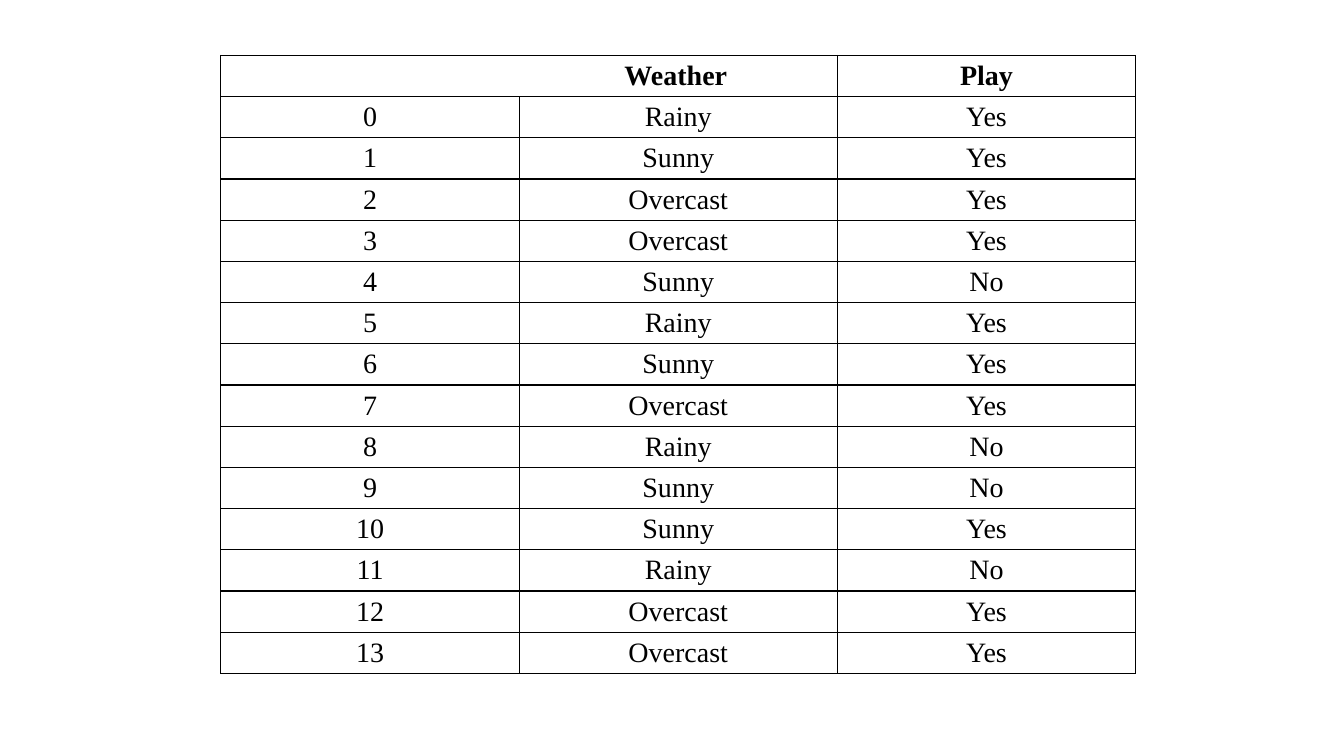
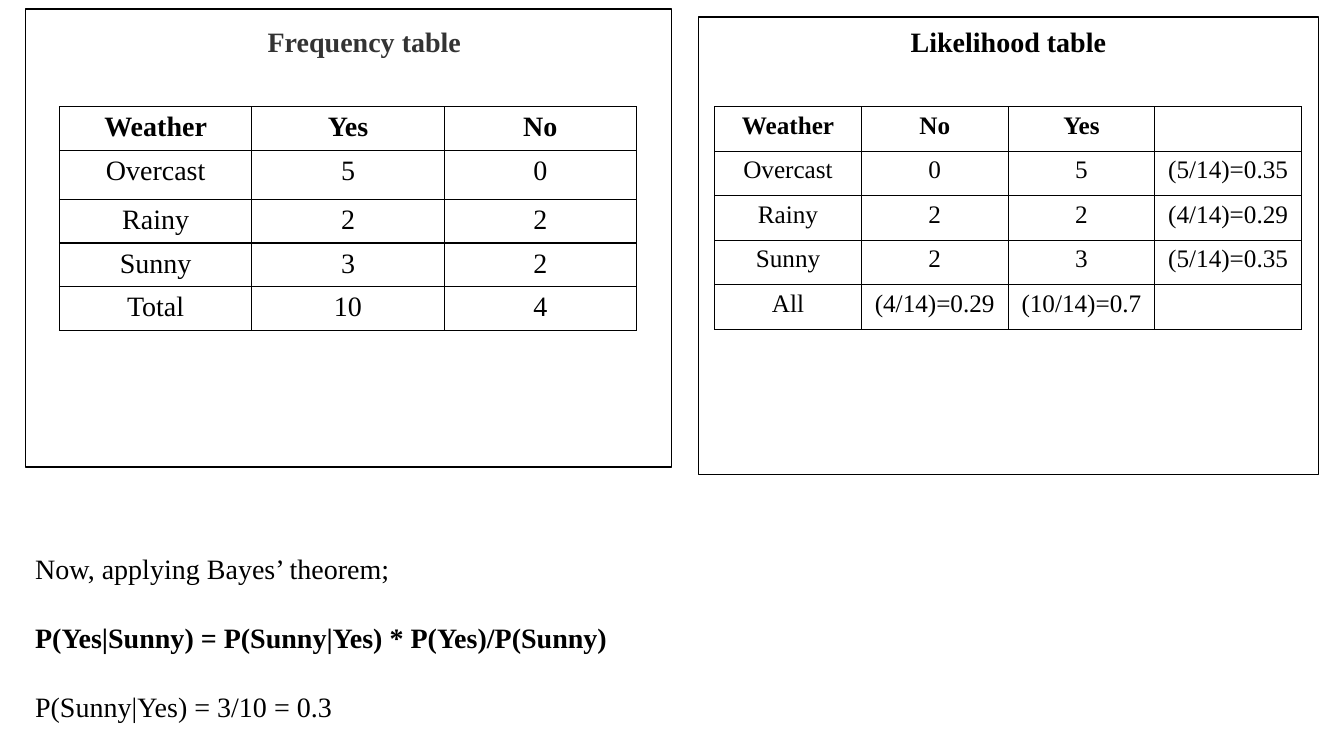
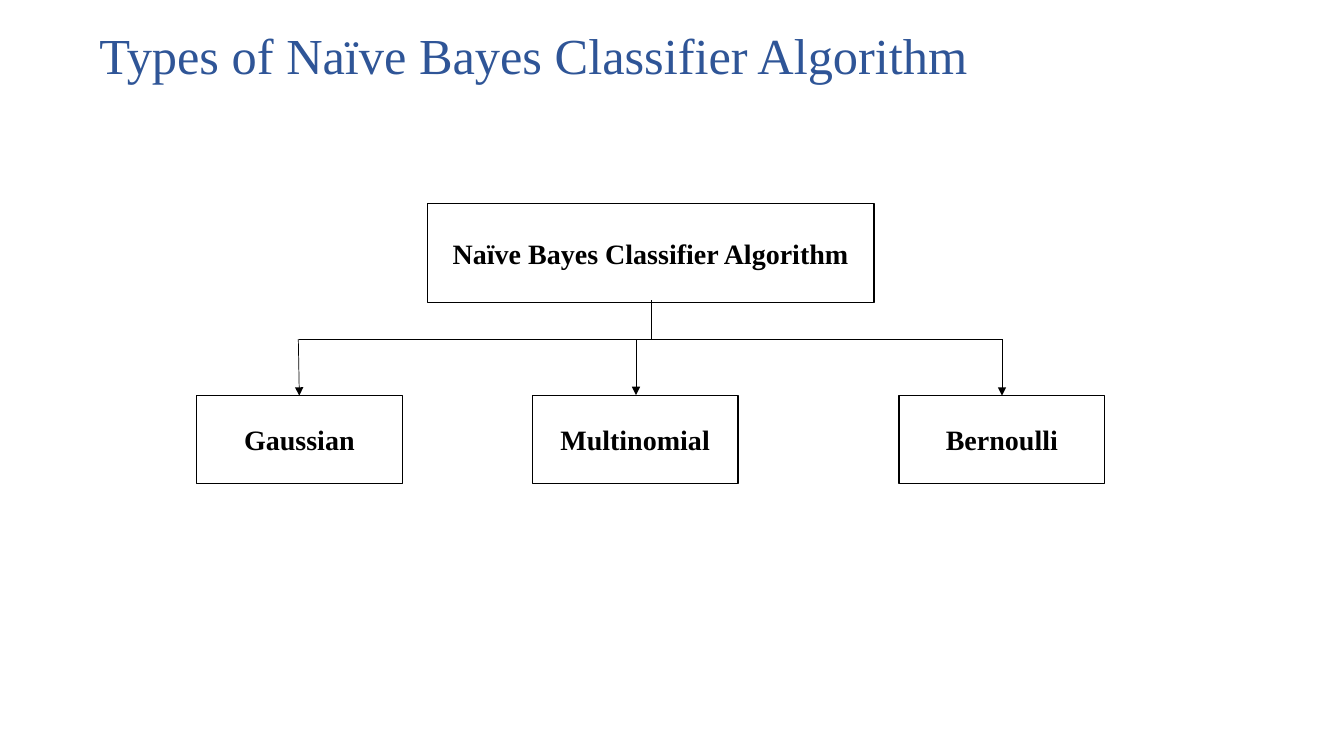
from dataclasses import dataclass

from lxml import etree
from pptx import Presentation
from pptx.dml.color import RGBColor
from pptx.enum import shapes, text
from pptx.oxml import ns
from pptx.util import Pt


@dataclass(frozen=True)
class Theme:
    font: str = "Times New Roman"
    ink: RGBColor = RGBColor(0, 0, 0)
    paper: RGBColor = RGBColor(255, 255, 255)
    gray: RGBColor = RGBColor(0x33, 0x33, 0x33)
    blue: RGBColor = RGBColor(0x2F, 0x55, 0x97)
    title: int = 36
    body: int = 20
    small: int = 18
    border: float = 1
    branch: float = 0.5


theme = Theme()
LEFT, CENTER, JUSTIFY = text.PP_ALIGN.LEFT, text.PP_ALIGN.CENTER, text.PP_ALIGN.JUSTIFY


def write(para, words, size=theme.body, bold=False, color=theme.ink, align=CENTER):
    para.alignment = align
    span = para.add_run()
    span.text = words
    span.font.name = theme.font
    span.font.size = Pt(size)
    span.font.bold = bold
    span.font.color.rgb = color


def add_grid(page, left, top, column_width, heights, rows, size=theme.body):
    columns = len(rows[0])
    frame = page.shapes.add_table(
        len(rows), columns, Pt(left), Pt(top), Pt(column_width * columns), Pt(sum(heights))
    )
    table = frame.table
    table.first_row = table.horz_banding = False
    for column in table.columns:
        column.width = Pt(column_width)
    for r, (height, row) in enumerate(zip(heights, rows)):
        table.rows[r].height = Pt(height)
        for c, words in enumerate(row):
            cell = table.cell(r, c)
            cell.fill.background()
            if words:
                write(cell.text_frame.paragraphs[0], words, size, bold=r == 0)
            properties = cell._tc.get_or_add_tcPr()
            for index, side in enumerate(("lnL", "lnR", "lnT", "lnB")):
                edge = etree.Element(ns.qn(f"a:{side}"), w=str(Pt(theme.border)))
                fill = etree.SubElement(edge, ns.qn("a:solidFill"))
                etree.SubElement(fill, ns.qn("a:srgbClr"), val=str(theme.ink))
                properties.insert(index, edge)
    return table


deck = Presentation()
deck.slide_width, deck.slide_height = Pt(960), Pt(540)
data_page, tables_page, types_page = [deck.slides.add_slide(deck.slide_layouts[6]) for _ in range(3)]

boxes = [
    (tables_page, 18, 6.5, 461.5, 327, ""),
    (tables_page, 499, 12.2, 442.8, 327, ""),
    (types_page, 305.3, 145.4, 319, 70.6, "Naïve Bayes Classifier Algorithm"),
    (types_page, 140.4, 282.6, 147, 62.6, "Gaussian"),
    (types_page, 642.2, 282.6, 147, 62.6, "Bernoulli"),
    (types_page, 380.2, 282.6, 147, 62.6, "Multinomial"),
]
for page, left, top, width, height, label in boxes:
    box = page.shapes.add_shape(
        shapes.MSO_SHAPE.RECTANGLE, Pt(left), Pt(top), Pt(width), Pt(height)
    )
    box.shadow.inherit = False
    box.fill.solid()
    box.fill.fore_color.rgb = theme.paper
    box.line.color.rgb = theme.ink
    box.line.width = Pt(theme.border)
    if label:
        write(box.text_frame.paragraphs[0], label, bold=True)

headings = [
    (tables_page, 52.6, 13.7, 415.4, 31.5, "Frequency table", theme.body, True, theme.gray, CENTER),
    (tables_page, 573.1, 13.7, 294.5, 31.5, "Likelihood table", theme.body, True, theme.ink, CENTER),
    (types_page, 64, 10.8, 828, 61.2, "Types of Naïve Bayes Classifier Algorithm",
     theme.title, False, theme.blue, LEFT),
]
for page, left, top, width, height, *style in headings:
    box = page.shapes.add_textbox(Pt(left), Pt(top), Pt(width), Pt(height))
    box.text_frame.word_wrap = True
    box.text_frame.vertical_anchor = text.MSO_ANCHOR.MIDDLE
    para = box.text_frame.paragraphs[0]
    if page is types_page:
        para.line_spacing = 0.9
    write(para, *style)

weather = ("Rainy Sunny Overcast Overcast Sunny Rainy Sunny "
           "Overcast Rainy Sunny Sunny Rainy Overcast Overcast").split()
play = "Yes Yes Yes Yes No Yes Yes Yes No No Yes No Yes Yes".split()
days = [(str(day), *values) for day, values in enumerate(zip(weather, play))]
dataset = add_grid(data_page, 157.7, 39.6, 213.3, [29.4] * 15, [("Weather", "", "Play"), *days])
header = dataset.cell(0, 0)
header.merge(dataset.cell(0, 1))
header.margin_left = Pt(217)

add_grid(tables_page, 42.5, 76.3, 137.4, [31.1, 34.8, 31.1, 31.1, 31.1], [
    ("Weather", "Yes", "No"),
    ("Overcast", "5", "0"),
    ("Rainy", "2", "2"),
    ("Sunny", "3", "2"),
    ("Total", "10", "4"),
])
add_grid(tables_page, 510.5, 76.3, 104.8, [31.8] * 5, [
    ("Weather", "No", "Yes", ""),
    ("Overcast", "0", "5", "(5/14)=0.35"),
    ("Rainy", "2", "2", "(4/14)=0.29"),
    ("Sunny", "2", "3", "(5/14)=0.35"),
    ("All", "(4/14)=0.29", "(10/14)=0.7", ""),
], theme.small)

working = tables_page.shapes.add_textbox(Pt(18), Pt(390.2), Pt(815.8), Pt(149)).text_frame
working.word_wrap = True
steps = [
    ("Now, applying Bayes’ theorem;", False),
    ("P(Yes|Sunny) = P(Sunny|Yes) * P(Yes)/P(Sunny)", True),
    ("P(Sunny|Yes) = 3/10 = 0.3", False),
]
for index, (words, bold) in enumerate(steps):
    para = working.add_paragraph() if index else working.paragraphs[0]
    para.space_before = Pt(25.5 if index else 0)
    write(para, words, bold=bold, align=JUSTIFY)

rail = 242.2
branches = [
    (465, rail, 465, 214.6, False),
    (213.5, rail, 715.7, rail, False),
    (213.1, rail, 213.8, 282.6, True),
    (715.7, rail, 715.7, 282.6, True),
    (454.3, rail, 454.3, 282.2, True),
]
for *ends, arrow in branches:
    branch = types_page.shapes.add_connector(
        shapes.MSO_CONNECTOR.STRAIGHT, *[Pt(value) for value in ends]
    )
    branch.line.color.rgb = theme.ink
    branch.line.width = Pt(theme.branch)
    if arrow:
        etree.SubElement(branch.line._get_or_add_ln(), ns.qn("a:tailEnd"), type="triangle")
    etree.SubElement(branch._element.spPr, ns.qn("a:effectLst"))

deck.save("out.pptx")
